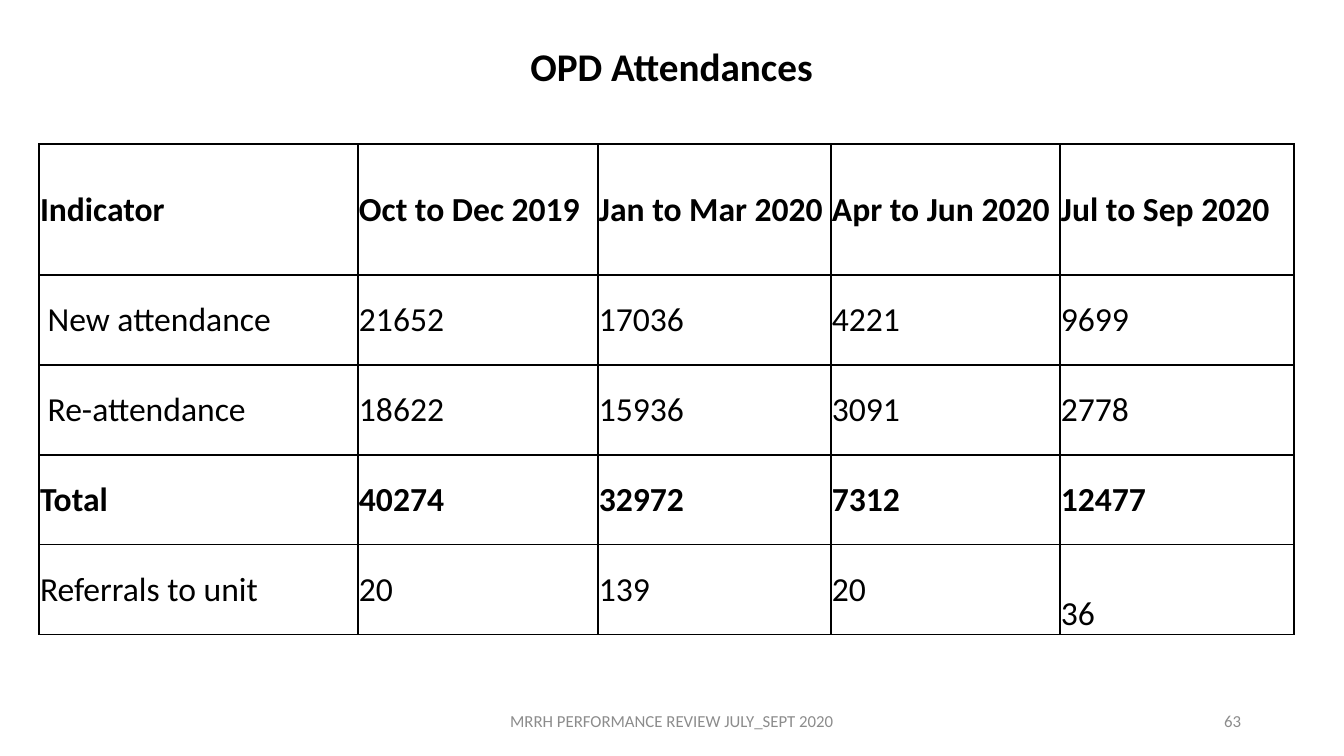
from lxml import etree
from pptx import Presentation
from pptx.dml.color import RGBColor
from pptx.enum.text import MSO_ANCHOR, MSO_AUTO_SIZE, PP_ALIGN
from pptx.oxml.ns import qn
from pptx.util import Emu, Pt

EMU_PER_PIXEL = 914400 / 100.8
FONT = "Calibri"
COLORS = {"text": "000000", "border": "000000", "footer": "8C8C8C", "background": "FFFFFF"}

COLUMN_WIDTHS = [319, 240, 233, 229, 234]
ROW_HEIGHTS = [131] + [90] * 4
BOLD_ROWS = ("Indicator", "Total")
ATTENDANCES = [
    ["Indicator", "Oct to Dec 2019", "Jan to Mar 2020", "Apr to Jun 2020", "Jul to Sep 2020"],
    [" New attendance", "21652", "17036", "4221", "9699"],
    [" Re-attendance", "18622", "15936", "3091", "2778"],
    ["Total", "40274", "32972", "7312", "12477"],
    ["Referrals to unit", "20", "139", "20", "36"],
]


def px(pixels):
    return Emu(round(pixels * EMU_PER_PIXEL))


def write(frame, text, size, color, bold=False, align=PP_ALIGN.LEFT):
    paragraph = frame.paragraphs[0]
    paragraph.alignment = align
    run = paragraph.add_run()
    run.text = text
    run.font.name = FONT
    run.font.size = Pt(size)
    run.font.bold = bold
    run.font.color.rgb = RGBColor.from_string(COLORS[color])


def set_title(slide, text, left, top, width, height):
    title = slide.shapes.title
    title.left, title.top, title.width, title.height = map(px, (left, top, width, height))
    frame = title.text_frame
    frame.auto_size = MSO_AUTO_SIZE.NONE
    frame.word_wrap = False
    frame.vertical_anchor = MSO_ANCHOR.TOP
    write(frame, text, 28, "text", bold=True, align=PP_ALIGN.CENTER)


def add_footer(slide, text, left, width, align):
    frame = slide.shapes.add_textbox(px(left), px(701), px(width), px(40)).text_frame
    frame.word_wrap = True
    frame.vertical_anchor = MSO_ANCHOR.MIDDLE
    write(frame, text, 12, "footer", align=align)


def set_borders(cell):
    properties = cell._tc.get_or_add_tcPr()
    for position, side in enumerate(("a:lnL", "a:lnR", "a:lnT", "a:lnB")):
        line = etree.Element(qn(side), w=str(Pt(1)))
        fill = etree.SubElement(line, qn("a:solidFill"))
        etree.SubElement(fill, qn("a:srgbClr"), val=COLORS["border"])
        properties.insert(position, line)


def format_cell(cell, text, bold):
    cell.fill.background()
    cell.margin_left = cell.margin_right = cell.margin_top = px(1)
    cell.margin_bottom = 0
    cell.vertical_anchor = MSO_ANCHOR.MIDDLE
    write(cell.text_frame, text, 24, "text", bold)
    set_borders(cell)


def add_attendance_table(slide, left, top):
    table = slide.shapes.add_table(
        len(ROW_HEIGHTS), len(COLUMN_WIDTHS), px(left), px(top),
        px(sum(COLUMN_WIDTHS)), px(sum(ROW_HEIGHTS))).table
    table.horz_banding = False
    for column, width in zip(table.columns, COLUMN_WIDTHS):
        column.width = px(width)
    for row, height, values in zip(table.rows, ROW_HEIGHTS, ATTENDANCES):
        row.height = px(height)
        for cell, value in zip(row.cells, values):
            format_cell(cell, value, values[0] in BOLD_ROWS)
    return table


def main():
    prs = Presentation()
    prs.slide_width, prs.slide_height = px(1344), px(756)
    slide = prs.slides.add_slide(prs.slide_layouts[5])
    slide.background.fill.solid()
    slide.background.fill.fore_color.rgb = RGBColor.from_string(COLORS["background"])

    # Title
    set_title(slide, "OPD Attendances", 518, 37, 307, 57)

    # Attendance table; the last referral count sits at the bottom of its cell
    table = add_attendance_table(slide, 39, 144)
    table.cell(4, 4).vertical_anchor = MSO_ANCHOR.BOTTOM

    # Footer and page number
    add_footer(slide, "MRRH PERFORMANCE REVIEW JULY_SEPT 2020", 445, 454, PP_ALIGN.CENTER)
    add_footer(slide, "63", 949, 302, PP_ALIGN.RIGHT)

    prs.save("out.pptx")


main()
